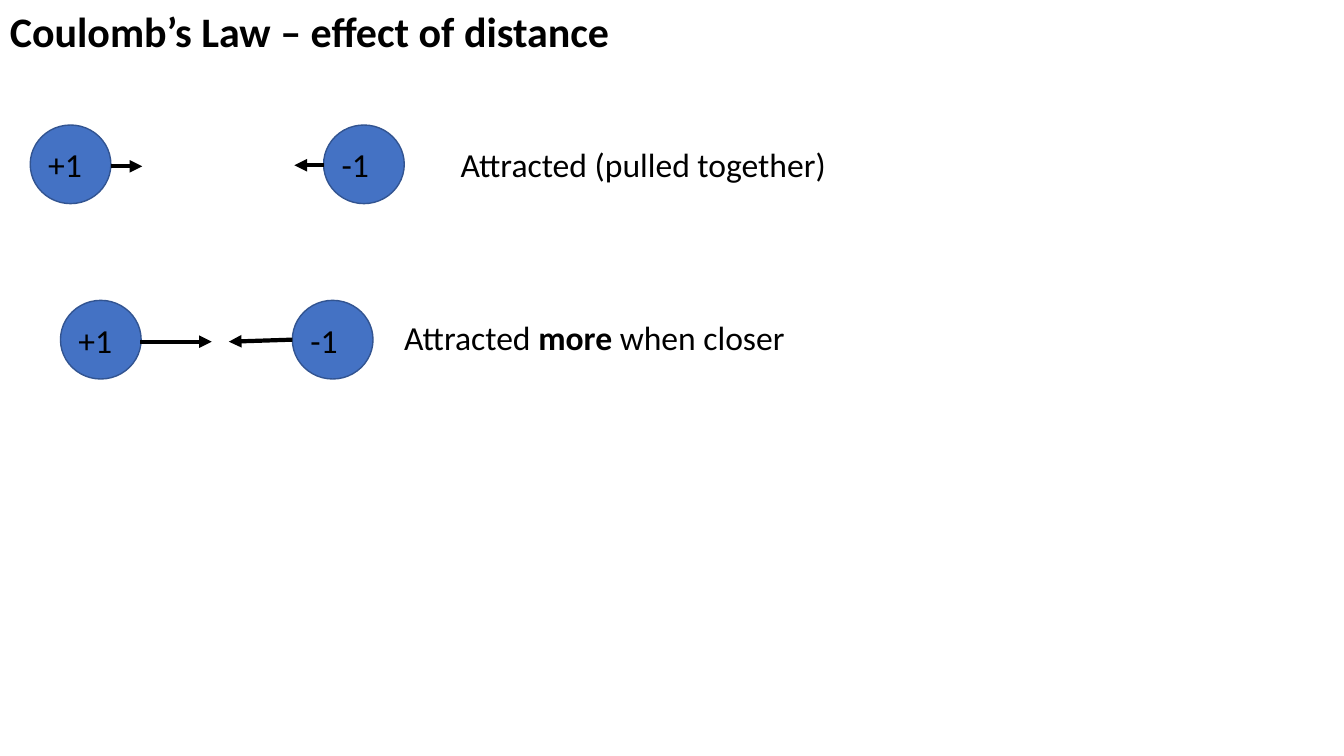
import pptx
import pptx.dml.color
import pptx.enum.dml
import pptx.enum.shapes
import pptx.enum.text
import pptx.oxml.ns
import pptx.util
from lxml import etree

COLOURS = {"ink": "000000", "charge": "4472C4", "charge_edge": "325491"}
CHARGE_WIDTH, CHARGE_HEIGHT = 8, 7.8
LABEL_HEIGHT = 5


def colour(name):
    return pptx.dml.color.RGBColor.from_string(COLOURS[name])


class Diagram:
    """Draws on one slide; lengths are columns and rows of a tenth of an inch."""

    font = "Calibri"
    body_size = 24
    cell = 0.1

    def __init__(self, slide):
        self.slide = slide

    def grid(self, *cells):
        return [pptx.util.Inches(count * self.cell) for count in cells]

    def text(self, box, phrases, size=body_size, bold=False, parent=None):
        """Write (words, is_bold) phrases as one paragraph, in a group if given."""
        shapes = (parent or self.slide).shapes
        frame = shapes.add_textbox(*self.grid(*box)).text_frame
        frame.word_wrap = True
        paragraph = frame.paragraphs[0]
        paragraph.font.name = self.font
        paragraph.font.size = pptx.util.Pt(size)
        paragraph.font.bold = bold
        paragraph.font.color.rgb = colour("ink")
        for words, is_bold in phrases:
            run = paragraph.add_run()
            run.text = words
            if is_bold:
                run.font.bold = True
        return frame

    def title(self, words):
        frame = self.text((0, 0, 122.6, 6.8), [(words, False)], size=30, bold=True)
        frame.vertical_anchor = pptx.enum.text.MSO_ANCHOR.MIDDLE
        frame.paragraphs[0].line_spacing = 0.9

    def charge(self, left, top, sign):
        group = self.slide.shapes.add_group_shape()
        ball = group.shapes.add_shape(
            pptx.enum.shapes.MSO_SHAPE.OVAL,
            *self.grid(left, top, CHARGE_WIDTH, CHARGE_HEIGHT))
        ball.shadow.inherit = False
        ball.fill.solid()
        ball.fill.fore_color.rgb = colour("charge")
        ball.line.color.rgb = colour("charge_edge")
        ball.line.width = pptx.util.Pt(1)
        self.text((left + 0.8, top + 1.4, CHARGE_WIDTH, LABEL_HEIGHT),
                  [(sign, False)], parent=group)

    def force(self, start, end):
        arrow = self.slide.shapes.add_connector(
            pptx.enum.shapes.MSO_CONNECTOR.STRAIGHT, *self.grid(*start, *end))
        arrow.line.color.rgb = colour("ink")
        arrow.line.width = pptx.util.Pt(3)
        qn = pptx.oxml.ns.qn
        etree.SubElement(arrow.line._get_or_add_ln(), qn("a:tailEnd"), type="triangle")
        etree.SubElement(arrow._element.spPr, qn("a:effectLst"))

    def attraction(self, top, positive, negative, pulls, label, phrases):
        """Draw two charges, the arrows pulling them together and a remark."""
        self.charge(positive, top, "+1")
        self.charge(negative, top, "-1")
        for start, end in pulls:
            self.force(start, end)
        self.text((*label, LABEL_HEIGHT), phrases)


def main():
    deck = pptx.Presentation()
    deck.slide_width = pptx.util.Inches(13.33)
    deck.slide_height = pptx.util.Inches(7.5)
    diagram = Diagram(deck.slides.add_slide(deck.slide_layouts[6]))

    diagram.title("Coulomb’s Law – effect of distance")
    diagram.attraction(
        top=12.4, positive=3, negative=32.1,
        pulls=[((11, 16.5), (14.1, 16.5)), ((32.1, 16.4), (29.2, 16.4))],
        label=(44.7, 13.8, 70),
        phrases=[("Attracted (pulled together)", False)])
    diagram.attraction(
        top=29.8, positive=6, negative=29,
        pulls=[((13.9, 33.9), (21, 33.9)), ((29, 33.7), (22.7, 33.9))],
        label=(39.1, 30.9, 81.1),
        phrases=[("Attracted ", False), ("more", True), (" when closer", False)])

    deck.save("out.pptx")


if __name__ == "__main__":
    main()
